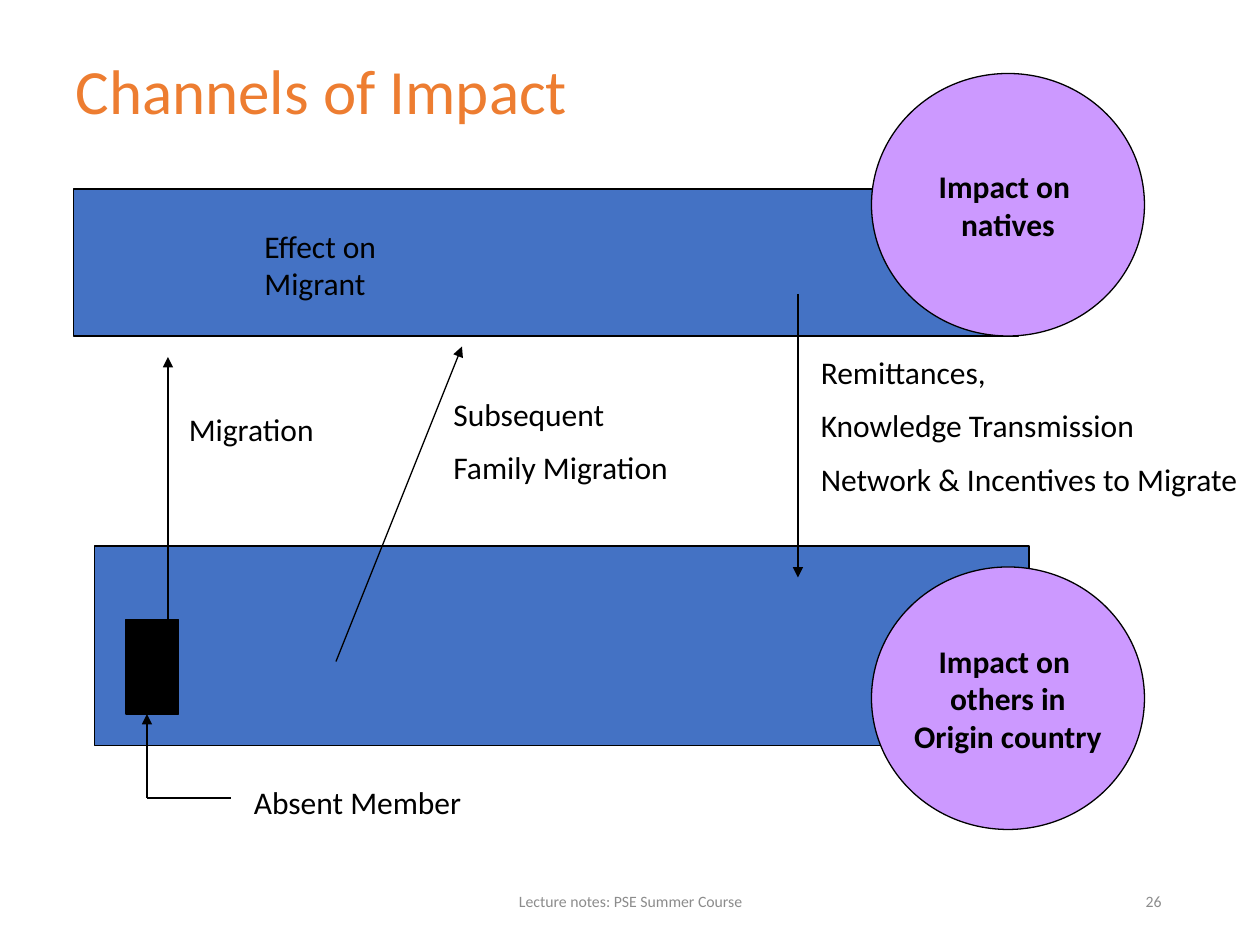
from collections import namedtuple
from dataclasses import dataclass

import lxml.etree
import pptx
import pptx.dml.color
import pptx.enum.shapes
import pptx.enum.text
import pptx.oxml.ns
import pptx.util

PX = pptx.util.Inches(1) // 120
SHAPE = pptx.enum.shapes.MSO_SHAPE
ALIGN = pptx.enum.text.PP_ALIGN
MIDDLE = pptx.enum.text.MSO_ANCHOR.MIDDLE
Box = namedtuple("Box", "left top width height")


@dataclass(frozen=True)
class Theme:
    face: str = "Calibri"
    accent: str = "ED7D31"
    band: str = "4472C4"
    circle: str = "CC99FF"
    ink: str = "000000"
    muted: str = "8C8C8C"
    title_size: int = 36
    body_size: int = 18
    footer_size: int = 9
    paragraph_gap: int = 9
    line_width: float = 0.75


THEME = Theme()


def rgb(color):
    return pptx.dml.color.RGBColor.from_string(color)


def emu(*lengths):
    return [length * PX for length in lengths]


def inside(box, left, top, width, height):
    return Box(box.left + left, box.top + top, width, height)


def write(frame, lines, size=THEME.body_size, color=THEME.ink,
          align=ALIGN.LEFT, bold=False, gap=0):
    for index, line in enumerate(lines):
        paragraph = frame.paragraphs[0] if index == 0 else frame.add_paragraph()
        paragraph.text = line
        paragraph.alignment = align
        paragraph.space_before = pptx.util.Pt(gap if index else 0)
        paragraph.font.name = THEME.face
        paragraph.font.size = pptx.util.Pt(size)
        paragraph.font.bold = bold
        paragraph.font.color.rgb = rgb(color)


def add_label(slide, box, lines, wrap=True, anchor=None, **style):
    frame = slide.shapes.add_textbox(*emu(*box)).text_frame
    frame.word_wrap = wrap
    frame.vertical_anchor = anchor
    write(frame, lines, **style)


def add_block(slide, kind, box, fill):
    block = slide.shapes.add_shape(kind, *emu(*box))
    block.shadow.inherit = False
    block.fill.solid()
    block.fill.fore_color.rgb = rgb(fill)
    block.line.color.rgb = rgb(THEME.ink)
    block.line.width = pptx.util.Pt(THEME.line_width)
    return block


def add_line(slide, box, start, end, arrow=True):
    ends = [box.left + start[0], box.top + start[1],
            box.left + end[0], box.top + end[1]]
    connector = slide.shapes.add_connector(
        pptx.enum.shapes.MSO_CONNECTOR.STRAIGHT, *emu(*ends))
    connector.line.color.rgb = rgb(THEME.ink)
    connector.line.width = pptx.util.Pt(THEME.line_width)
    qn = pptx.oxml.ns.qn
    if arrow:
        lxml.etree.SubElement(connector.line._get_or_add_ln(),
                              qn("a:tailEnd"), type="triangle")
    lxml.etree.SubElement(connector._element.spPr, qn("a:effectLst"))


def add_impact(slide, box, lines):
    frame = add_block(slide, SHAPE.OVAL, box, THEME.circle).text_frame
    frame.word_wrap = False
    frame.vertical_anchor = MIDDLE
    write(frame, lines, align=ALIGN.CENTER, bold=True)


def add_title(slide, box):
    title = slide.shapes.title
    title.left, title.top, title.width, title.height = emu(*box)
    frame = title.text_frame
    frame.auto_size = pptx.enum.text.MSO_AUTO_SIZE.NONE
    frame.vertical_anchor = MIDDLE
    write(frame, ["Channels of Impact"], THEME.title_size, THEME.accent)
    frame.paragraphs[0].line_spacing = 0.9


def add_footer(slide, box):
    style = dict(anchor=MIDDLE, size=THEME.footer_size, color=THEME.muted)
    add_label(slide, inside(box, 0, 0, 405, box.height),
              ["Lecture notes: PSE Summer Course"], align=ALIGN.CENTER, **style)
    add_label(slide, inside(box, box.width - 270, 0, 270, box.height),
              ["26"], align=ALIGN.RIGHT, **style)


def add_destination(slide, box):
    add_block(slide, SHAPE.RECTANGLE, box, THEME.band)
    add_label(slide, inside(box, 170, 30, 230, 84), ["Effect on Migrant"])
    add_impact(slide, inside(box, 760, -110, 260, 250),
               ["Impact on ", "natives"])


def add_origin(slide, box):
    add_block(slide, SHAPE.RECTANGLE, box, THEME.band)
    add_block(slide, SHAPE.RECTANGLE, inside(box, 30, 70, 50, 90), THEME.ink)
    add_line(slide, box, (50, 240), (50, 160))
    add_line(slide, box, (50, 240), (130, 240), arrow=False)
    add_label(slide, inside(box, 140, 220, 710, 48), ["Absent Member"])
    add_impact(slide, inside(box, 740, 20, 260, 250),
               ["Impact on ", "others in", "Origin country"])


def add_channels(slide, box):
    channels = [
        ((0, 310), (0, 10), (8, 55, 148, 48), ["Migration"]),
        ((160, 300), (280, 0), (260, 40, 240, 138),
         ["Subsequent", "Family Migration"]),
        ((600, -50), (600, 220), (610, 0, 430, 192),
         ["Remittances,", "Knowledge Transmission",
          "Network & Incentives to Migrate"]),
    ]
    for start, end, label, lines in channels:
        add_line(slide, box, start, end)
        add_label(slide, inside(box, *label), lines, wrap=len(lines) > 1,
                  gap=THEME.paragraph_gap)


def main():
    deck = pptx.Presentation()
    deck.slide_width, deck.slide_height = emu(1200, 900)
    slide = deck.slides.add_slide(deck.slide_layouts[5])
    add_title(slide, Box(60, 60, 840, 60))
    add_destination(slide, Box(70, 180, 900, 140))
    add_origin(slide, Box(90, 520, 890, 190))
    add_channels(slide, Box(160, 330, 1040, 310))
    add_footer(slide, Box(398, 834, 720, 48))
    deck.save("out.pptx")


if __name__ == "__main__":
    main()
